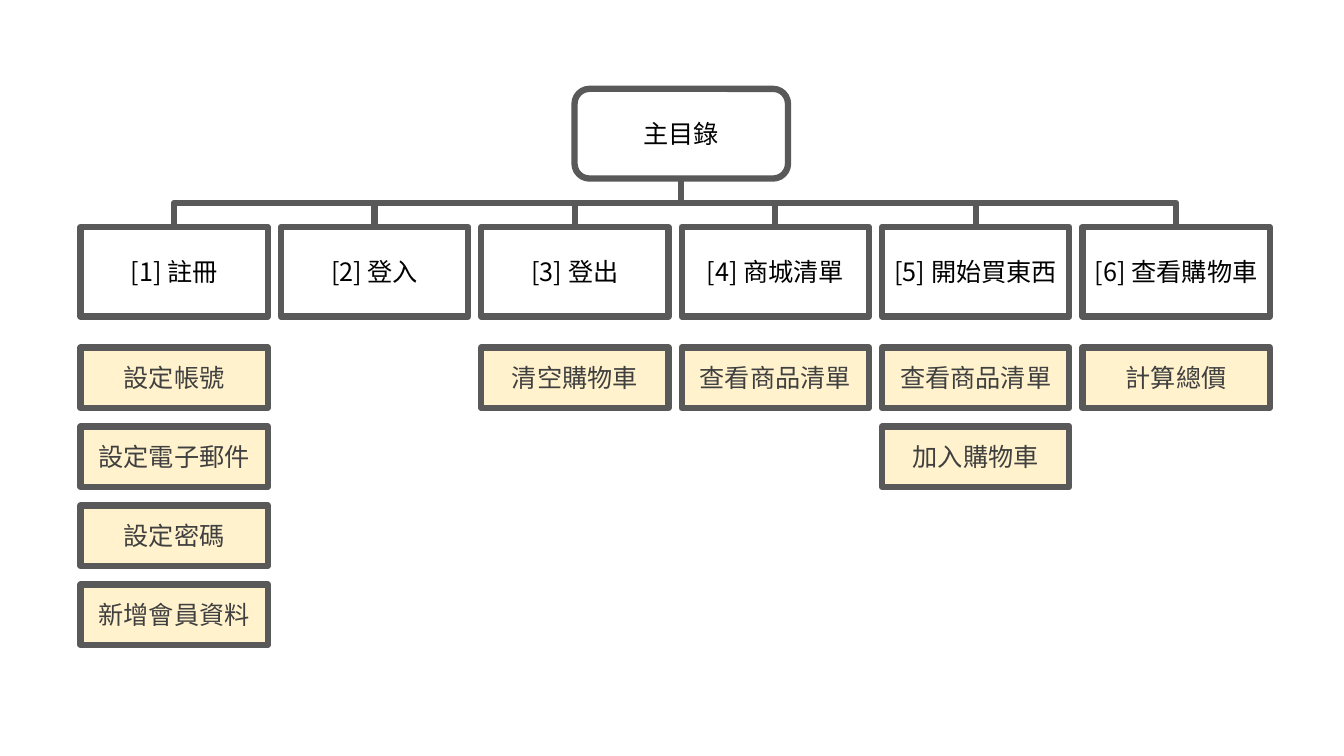
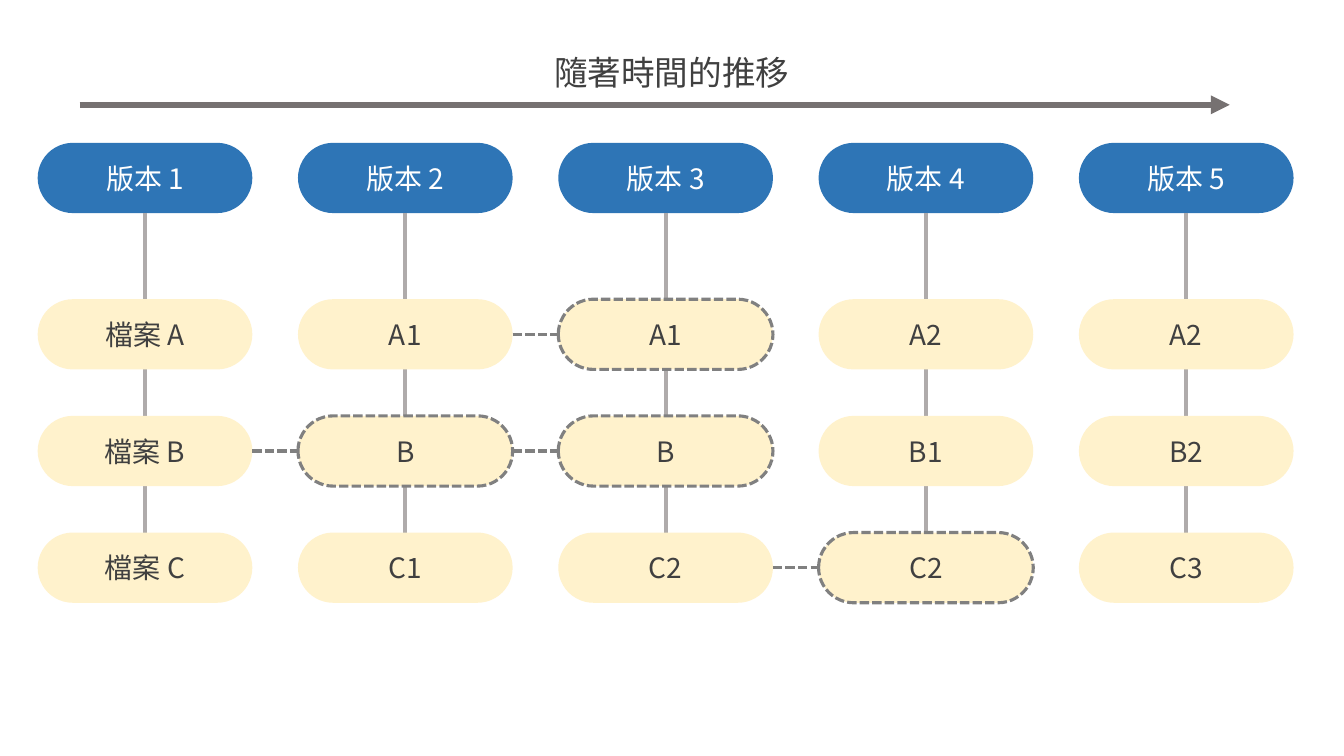
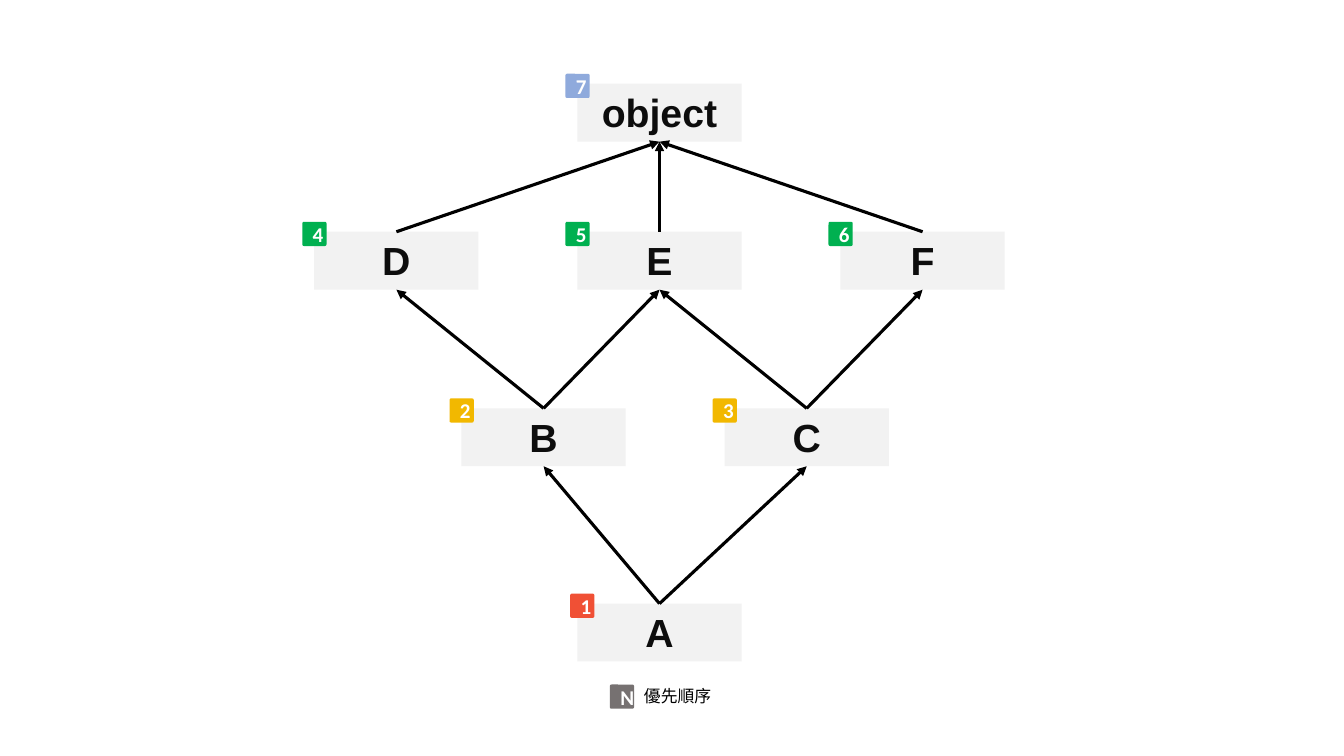
from dataclasses import dataclass

from lxml import etree
from pptx import Presentation
from pptx import util as u
from pptx.dml.color import RGBColor
from pptx.enum import dml, shapes, text
from pptx.oxml.ns import qn

RECT = shapes.MSO_SHAPE.RECTANGLE
ROUND = shapes.MSO_SHAPE.ROUNDED_RECTANGLE
STRAIGHT = shapes.MSO_CONNECTOR.STRAIGHT
ELBOW = shapes.MSO_CONNECTOR.ELBOW
TOP, LEFT, BOTTOM, RIGHT = range(4)
CJK = "Noto Sans CJK TC"


@dataclass(frozen=True)
class Type:
    colour: str
    size: float
    name: str = CJK
    bold: bool = False


@dataclass(frozen=True)
class Stroke:
    colour: str
    width: float
    dash: object = None


@dataclass(frozen=True)
class Theme:
    cream: str = "FFF2CC"
    blue: str = "2E75B6"
    pale: str = "F2F2F2"
    red: str = "F05035"
    amber: str = "F2B800"
    green: str = "00B050"
    sky: str = "8FAADC"
    grey: str = "767171"
    menu: Type = Type("000000", 18)
    task: Type = Type("404040", 18)
    version: Type = Type("FFFFFF", 20)
    file: Type = Type("404040", 20)
    heading: Type = Type("404040", 24)
    node: Type = Type("0D0D0D", 28, "Arial", True)
    badge: Type = Type("FFFFFF", 15, "Calibri", True)
    legend: Type = Type("000000", 12)
    frame: Stroke = Stroke("595959", 4.5)
    spine: Stroke = Stroke("AFABAB", 3)
    carried: Stroke = Stroke("808080", 2.25, dml.MSO_LINE.SQUARE_DOT)
    timeline: Stroke = Stroke("767171", 4.5)
    arrow: Stroke = Stroke("000000", 2.25)


THEME = Theme()

MENU = [
    ("[1] 註冊", ["設定帳號", "設定電子郵件", "設定密碼", "新增會員資料"]),
    ("[2] 登入", []),
    ("[3] 登出", ["清空購物車"]),
    ("[4] 商城清單", ["查看商品清單"]),
    ("[5] 開始買東西", ["查看商品清單", "加入購物車"]),
    ("[6] 查看購物車", ["計算總價"]),
]

VERSIONS = [
    ("版本 1", ["檔案 A", "檔案 B", "檔案 C"]),
    ("版本 2", ["A1", "B", "C1"]),
    ("版本 3", ["A1", "B", "C2"]),
    ("版本 4", ["A2", "B1", "C2"]),
    ("版本 5", ["A2", "B2", "C3"]),
]
CARRIED = [(1, 1), (2, 0), (2, 1), (3, 2)]

NODES = [
    ("object", 14.55, 2.11, "7", THEME.sky, -0.3),
    ("E", 14.55, 5.84, "5", THEME.green, -0.3),
    ("D", 7.92, 5.84, "4", THEME.green, -0.3),
    ("F", 21.18, 5.84, "6", THEME.green, -0.3),
    ("B", 11.63, 10.29, "2", THEME.amber, -0.3),
    ("C", 18.26, 10.29, "3", THEME.amber, -0.3),
    ("A", 14.55, 15.21, "1", THEME.red, -0.18),
]
PARENTS = {
    "A": ["B", "C"],
    "B": ["D", "E"],
    "C": ["E", "F"],
    "D": ["object"],
    "E": ["object"],
    "F": ["object"],
}


def apply(target, values):
    for name, value in values.items():
        setattr(target, name, value)


def draw_line(line, stroke):
    line.color.rgb = RGBColor.from_string(stroke.colour)
    apply(line, {"width": u.Pt(stroke.width), "dash_style": stroke.dash})


def write(box, words, style, align=text.PP_ALIGN.CENTER,
          anchor=text.MSO_ANCHOR.MIDDLE, grow=False):
    frame = box.text_frame
    apply(frame, {"word_wrap": True, "vertical_anchor": anchor})
    if grow:
        frame.auto_size = text.MSO_AUTO_SIZE.SHAPE_TO_FIT_TEXT
    para = frame.paragraphs[0]
    para.alignment = align
    span = para.add_run()
    span.text = words
    apply(span.font, {"name": style.name, "size": u.Pt(style.size),
                      "bold": style.bold})
    span.font.color.rgb = RGBColor.from_string(style.colour)
    etree.SubElement(span._r.get_or_add_rPr(), qn("a:ea"), typeface=style.name)


def add_box(page, kind, place, words, style, fill=None, stroke=None,
            corner=None, **layout):
    box = page.shapes.add_shape(kind, *map(u.Cm, place))
    box.shadow.inherit = False
    if fill:
        box.fill.solid()
        box.fill.fore_color.rgb = RGBColor.from_string(fill)
    else:
        box.fill.background()
    if stroke:
        draw_line(box.line, stroke)
    else:
        box.line.fill.background()
    if corner is not None:
        box.adjustments[0] = corner
    write(box, words, style, **layout)
    return box


def add_label(page, place, words, style, align):
    box = page.shapes.add_textbox(*map(u.Cm, place))
    write(box, words, style, align, text.MSO_ANCHOR.TOP, True)


def add_line(page, ends, stroke, kind=STRAIGHT, arrow=False):
    line = page.shapes.add_connector(kind, *map(u.Cm, ends))
    draw_line(line.line, stroke)
    properties = line.element.spPr
    if arrow:
        etree.SubElement(properties.find(qn("a:ln")), qn("a:tailEnd"),
                         type="triangle")
    etree.SubElement(properties, qn("a:effectLst"))
    return line


def join(page, start, start_side, end, end_side, stroke, **options):
    line = add_line(page, (0, 0, 1, 1), stroke, **options)
    line.begin_connect(start, start_side)
    line.end_connect(end, end_side)
    return line


def add_branch(page, parent, child):
    branch = join(page, parent, BOTTOM, child, TOP, THEME.frame, kind=ELBOW)
    across = branch.end_x - branch.begin_x
    down = branch.end_y - branch.begin_y
    middle_x = (branch.begin_x + branch.end_x) // 2
    middle_y = (branch.begin_y + branch.end_y) // 2
    apply(branch, {"left": middle_x - down // 2,
                   "top": middle_y - abs(across) // 2,
                   "width": down, "height": abs(across)})
    apply(branch.element, {"rot": 270 if across > 0 else 90,
                           "flipH": across > 0})


def build_menu(page):
    left, pitch, width = 2.03, 5.05, 4.72
    root = add_box(page, ROUND, (14.48, 2.24, 5.38, 2.26), "主目錄",
                   THEME.menu, stroke=THEME.frame)
    for column, (name, tasks) in enumerate(MENU):
        x = left + column * pitch
        item = add_box(page, RECT, (x, 5.72, width, 2.26), name,
                       THEME.menu, stroke=THEME.frame)
        add_branch(page, root, item)
        for row, task in enumerate(tasks):
            add_box(page, RECT, (x, 8.76 + row * 1.99, width, 1.52), task,
                    THEME.task, THEME.cream, THEME.frame)


def build_versions(page):
    left, pitch, width, height = 0.95, 6.56, 5.41, 1.77
    version_top, file_top, row_pitch = 3.6, 7.54, 2.94
    files = {}
    for column, (version, names) in enumerate(VERSIONS):
        x = left + column * pitch
        add_box(page, ROUND, (x, version_top, width, height), version,
                THEME.version, THEME.blue, corner=0.5)
        middle = x + width / 2
        bottom = file_top + (len(names) - 1) * row_pitch + height
        add_line(page, (middle, version_top + height, middle, bottom),
                 THEME.spine)
        for row, name in enumerate(names):
            stroke = THEME.carried if (column, row) in CARRIED else None
            files[column, row] = add_box(
                page, ROUND, (x, file_top + row * row_pitch, width, height),
                name, THEME.file, THEME.cream, stroke, 0.5)
    for column, row in CARRIED:
        join(page, files[column - 1, row], RIGHT, files[column, row], LEFT,
             THEME.carried)
    add_line(page, (2.01, 2.64, 30.99, 2.64), THEME.timeline, arrow=True)
    add_label(page, (8.46, 1.19, 16.94, 1.27), "隨著時間的推移",
              THEME.heading, text.PP_ALIGN.CENTER)


def add_badge(page, x, y, mark, fill):
    add_box(page, ROUND, (x, y, 0.61, 0.61), mark, THEME.badge, fill,
            corner=0.07)


def build_inheritance(page):
    nodes = {
        name: add_box(page, RECT, (x, y, 4.14, 1.46), name, THEME.node,
                      THEME.pale, anchor=text.MSO_ANCHOR.TOP, grow=True)
        for name, x, y, *_ in NODES
    }
    for child, parents in PARENTS.items():
        for parent in parents:
            join(page, nodes[child], TOP, nodes[parent], BOTTOM,
                 THEME.arrow, arrow=True)
    for _, x, y, order, fill, shift in NODES:
        add_badge(page, x + shift, y - 0.25, order, fill)
    add_badge(page, 15.37, 17.25, "N", THEME.grey)
    add_label(page, (15.98, 17.15, 2.69, 0.76), "優先順序", THEME.legend,
              text.PP_ALIGN.LEFT)


def main():
    deck = Presentation()
    apply(deck, {"slide_width": u.Cm(33.87), "slide_height": u.Cm(19.05)})
    for build in (build_menu, build_versions, build_inheritance):
        build(deck.slides.add_slide(deck.slide_layouts[6]))
    deck.save("out.pptx")


if __name__ == "__main__":
    main()
